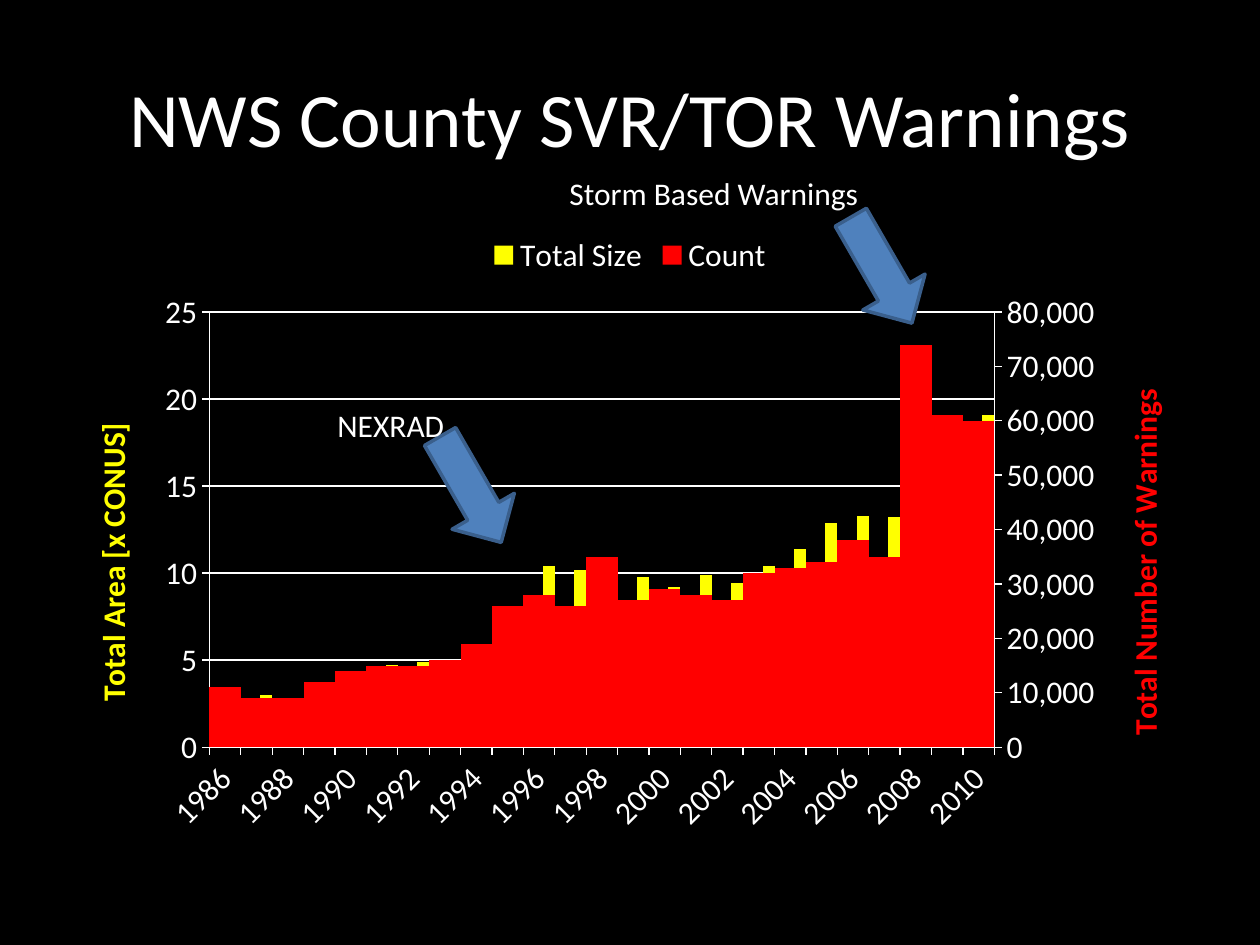
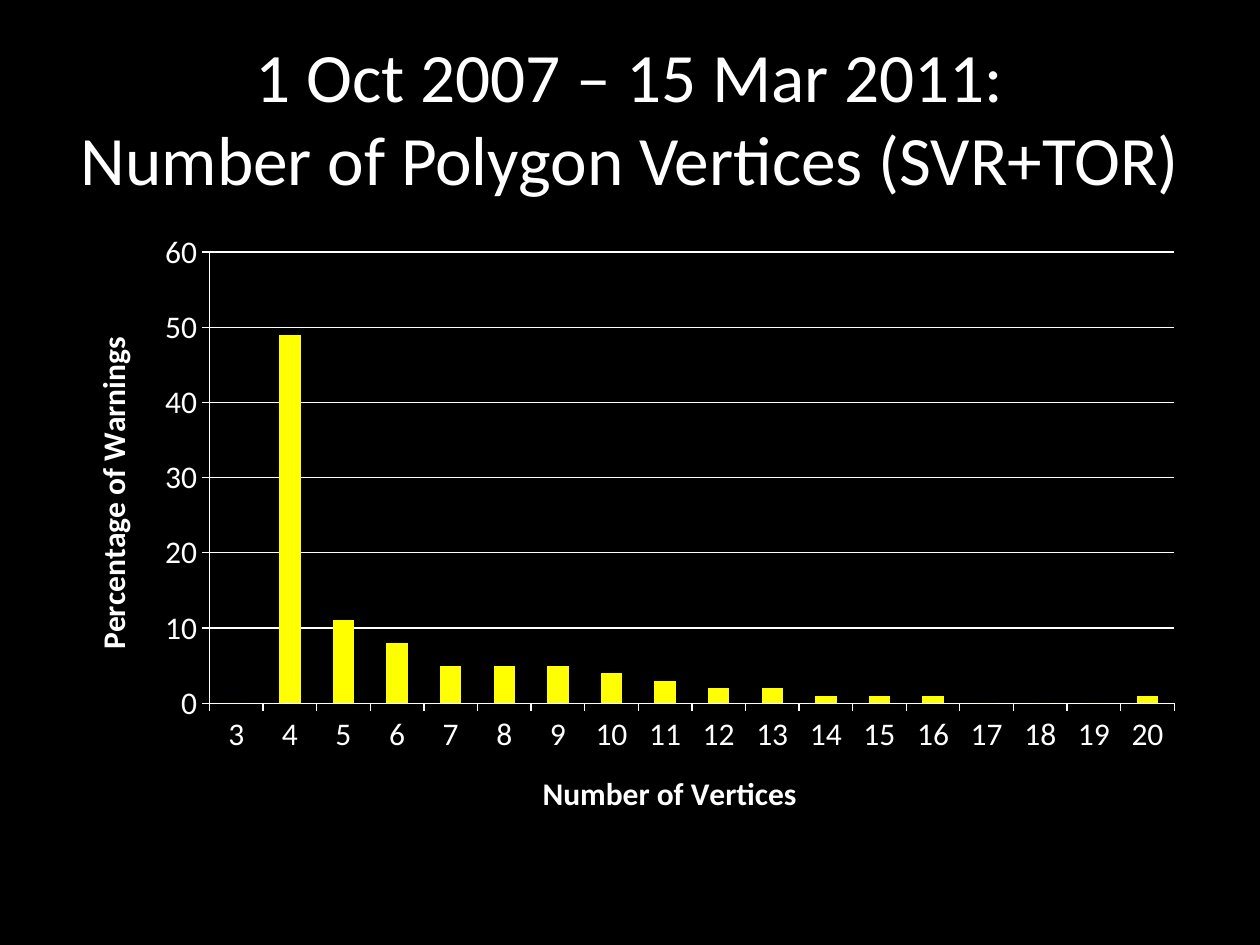
from copy import deepcopy
from dataclasses import dataclass

from lxml import etree
from pptx import Presentation
from pptx import util as u
from pptx.chart import axis as ax
from pptx.chart import data as cd
from pptx.dml.color import RGBColor
from pptx.enum import chart as ch
from pptx.enum import shapes, text
from pptx.oxml.ns import qn

PX = 9144
FONT = "Calibri"
HUES = {
    "back": "000000",
    "text": "FFFFFF",
    "size": "FFFF00",
    "count": "FF0000",
    "arrow": "4F81BD",
    "edge": "3A5F8C",
}
PLOT = (50, 175, 900, 495)

YEARS = [str(year) for year in range(1986, 2011)]
SIZES = [3.4, 3, 2.7, 3.5, 4.2, 4.7, 4.9, 5, 5.9, 8.1, 10.4, 10.2, 10.9,
         9.8, 9.2, 9.9, 9.4, 10.4, 11.4, 12.9, 13.3, 13.2, 23, 18.4, 19.1]
COUNTS = [1000 * k for k in (
    11, 9, 9, 12, 14, 15, 15, 16, 19, 26, 28, 26, 35,
    27, 29, 28, 27, 32, 33, 34, 38, 35, 74, 61, 60)]
CORNERS = [str(n) for n in range(3, 21)]
SHARES = [0, 49, 11, 8, 5, 5, 5, 4, 3, 2, 2, 1, 1, 1, 0, 0, 0, 1]


@dataclass
class Label:
    words: str
    box: tuple[int, int, int, int]
    size: float = 18
    title: bool = False


@dataclass
class Series:
    name: str
    vals: list
    hue: str = "size"


def hue(name: str) -> RGBColor:
    return RGBColor.from_string(HUES[name])


def span(box: tuple) -> list:
    return [u.Emu(n * PX) for n in box]


def style(font, size: float, tint: str = "text") -> None:
    font.name = FONT
    font.size = u.Pt(size)
    font.color.rgb = hue(tint)


def add_page(deck):
    page = deck.slides.add_slide(deck.slide_layouts[6])
    page.background.fill.solid()
    page.background.fill.fore_color.rgb = hue("back")
    return page


def add_label(page, label: Label) -> None:
    frame = page.shapes.add_textbox(*span(label.box)).text_frame
    frame.word_wrap = label.title
    frame.text = label.words
    para = frame.paragraphs[0]
    style(para.font, label.size)
    if label.title:
        frame.vertical_anchor = text.MSO_ANCHOR.MIDDLE
        para.alignment = text.PP_ALIGN.CENTER
    else:
        frame.auto_size = text.MSO_AUTO_SIZE.SHAPE_TO_FIT_TEXT


def add_arrow(page, left: int, top: int) -> None:
    arrow = page.shapes.add_shape(
        shapes.MSO_SHAPE.RIGHT_ARROW, *span((left, top, 97, 57)))
    arrow.rotation = 60
    arrow.shadow.inherit = False
    arrow.fill.solid()
    arrow.fill.fore_color.rgb = hue("arrow")
    arrow.line.color.rgb = hue("edge")
    arrow.line.width = u.Pt(2)


def add_name(axis, words: str, tint: str = "text", turn: bool = True) -> None:
    frame = axis.axis_title.text_frame
    frame.text = words
    font = frame.paragraphs[0].font
    style(font, 18, tint)
    font.bold = True
    if turn:
        body = axis.axis_title._element.find(".//" + qn("a:bodyPr"))
        body.set("rot", "-5400000")
        body.set("vert", "horz")


def add_bars(page, cats: list, rows: list[Series], top: int, gap: int):
    data = cd.CategoryChartData()
    data.categories = cats
    for row in rows:
        data.add_series(row.name, row.vals)
    chart = page.shapes.add_chart(
        ch.XL_CHART_TYPE.COLUMN_CLUSTERED, *span(PLOT), data).chart
    chart.has_title = False
    chart.has_legend = False
    style(chart.font, 18)
    plot = chart.plots[0]
    plot.vary_by_categories = False
    plot.gap_width = gap
    for bar, row in zip(plot.series, rows):
        bar.format.fill.solid()
        bar.format.fill.fore_color.rgb = hue(row.hue)
    for axis in (chart.category_axis, chart.value_axis):
        axis.major_tick_mark = ch.XL_TICK_MARK.OUTSIDE
        axis.minor_tick_mark = ch.XL_TICK_MARK.NONE
        axis.format.line.color.rgb = hue("text")
    chart.value_axis.minimum_scale = 0
    chart.value_axis.maximum_scale = top
    chart.value_axis.has_major_gridlines = True
    chart.value_axis.major_gridlines.format.line.color.rgb = hue("text")
    return chart


def split_last(chart, top: int):
    bars = chart.plots[0]._element
    cat, val = chart.category_axis._element, chart.value_axis._element
    twin, far_cat, far_val = deepcopy(bars), deepcopy(cat), deepcopy(val)
    bars.remove(bars.findall(qn("c:ser"))[-1])
    for ser in twin.findall(qn("c:ser"))[:-1]:
        twin.remove(ser)
    for node, key in zip(twin.findall(qn("c:axId")), ("501", "502")):
        node.set("val", key)
    for axis, own, mate in ((far_cat, "501", "502"), (far_val, "502", "501")):
        axis.find(qn("c:axId")).set("val", own)
        axis.find(qn("c:crossAx")).set("val", mate)
    far_val.find(qn("c:axPos")).set("val", "r")
    far_val.find(qn("c:crosses")).set("val", "max")
    bars.addnext(twin)
    val.addnext(far_val)
    far_val.addnext(far_cat)
    ax.CategoryAxis(far_cat).visible = False
    right = ax.ValueAxis(far_val)
    right.has_major_gridlines = False
    right.maximum_scale = top
    right.tick_labels.number_format = "#,##0"
    right.tick_labels.number_format_is_linked = False
    return right


def add_key(chart, skip: int) -> None:
    chart.has_legend = True
    key = chart.legend
    key.position = ch.XL_LEGEND_POSITION.TOP
    key.include_in_layout = False
    style(key.font, 18)
    entry = etree.Element(qn("c:legendEntry"))
    etree.SubElement(entry, qn("c:idx")).set("val", str(skip))
    etree.SubElement(entry, qn("c:delete")).set("val", "1")
    key._element.find(qn("c:legendPos")).addnext(entry)


def draw_trend(deck) -> None:
    page = add_page(deck)
    add_label(page, Label("NWS County SVR/TOR Warnings",
                          (50, 30, 900, 125), 44, True))
    rows = [
        Series("Total Size", [1] + [None] * (len(YEARS) - 1)),
        Series("Series 2", SIZES),
        Series("Count", COUNTS, "count"),
    ]
    chart = add_bars(page, YEARS, rows, 25, 0)
    chart.plots[0].overlap = -62
    style(chart.category_axis.tick_labels.font, 18)
    labels = chart.category_axis._element.find(qn("c:txPr"))
    labels.find(qn("a:bodyPr")).set("rot", "-2700000")
    left = chart.value_axis
    right = split_last(chart, 80000)
    add_name(left, "Total Area [x CONUS]", "size")
    add_name(right, "Total Number of Warnings", "count")
    add_key(chart, 1)
    for spot in ((325, 360), (651, 186)):
        add_arrow(page, *spot)
    add_label(page, Label("NEXRAD", (258, 317, 106, 40)))
    add_label(page, Label("Storm Based Warnings", (442, 133, 252, 40)))


def draw_shares(deck) -> None:
    page = add_page(deck)
    add_label(page, Label(
        "1 Oct 2007 – 15 Mar 2011:\vNumber of Polygon Vertices (SVR+TOR)",
        (25, 30, 950, 125), 39.6, True))
    chart = add_bars(page, CORNERS, [Series("Series 1", SHARES)], 60, 150)
    add_name(chart.category_axis, "Number of Vertices", turn=False)
    add_name(chart.value_axis, "Percentage of Warnings")


def main() -> None:
    deck = Presentation()
    deck.slide_width, deck.slide_height = span((1000, 750))
    draw_trend(deck)
    draw_shares(deck)
    deck.save("out.pptx")


if __name__ == "__main__":
    main()
